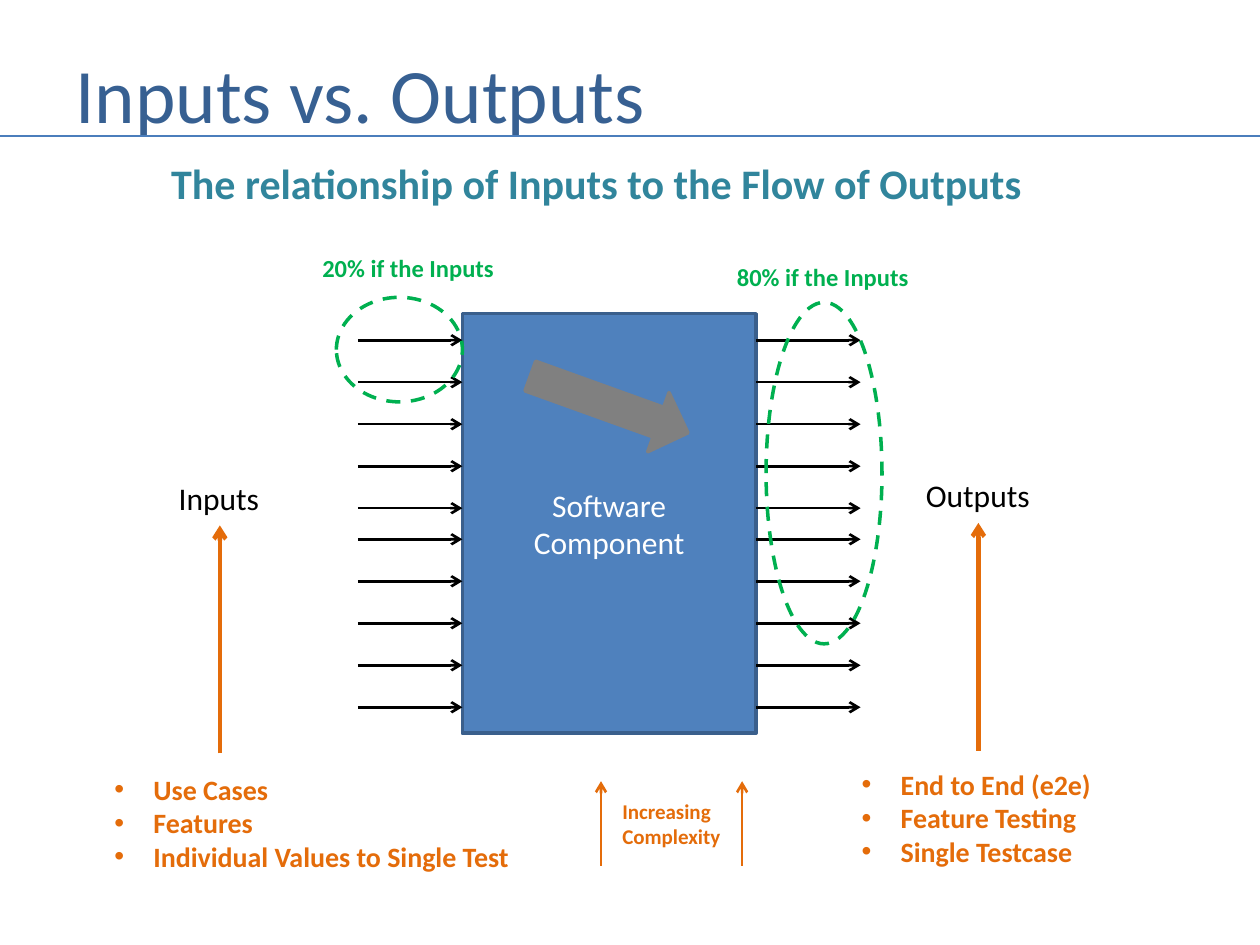
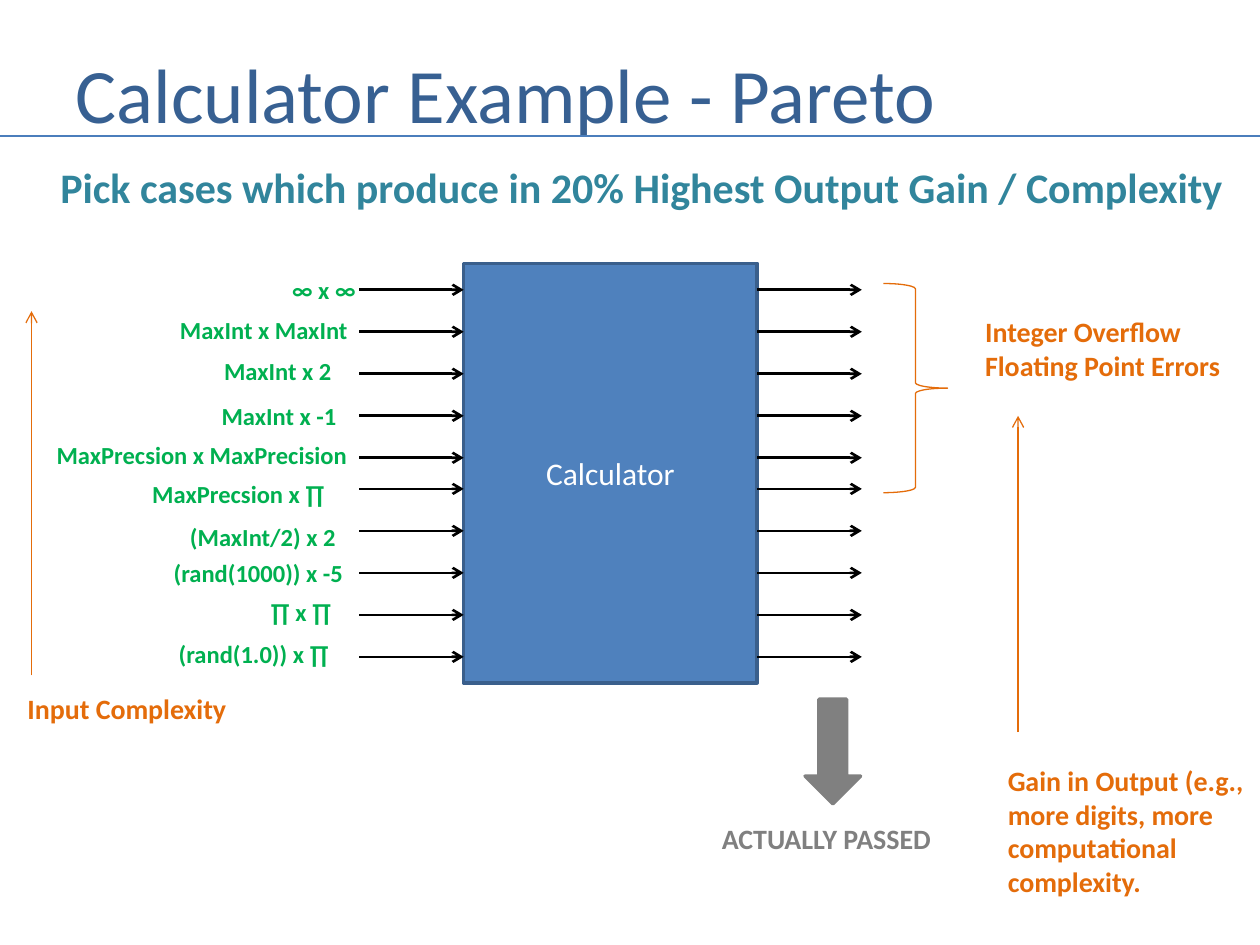
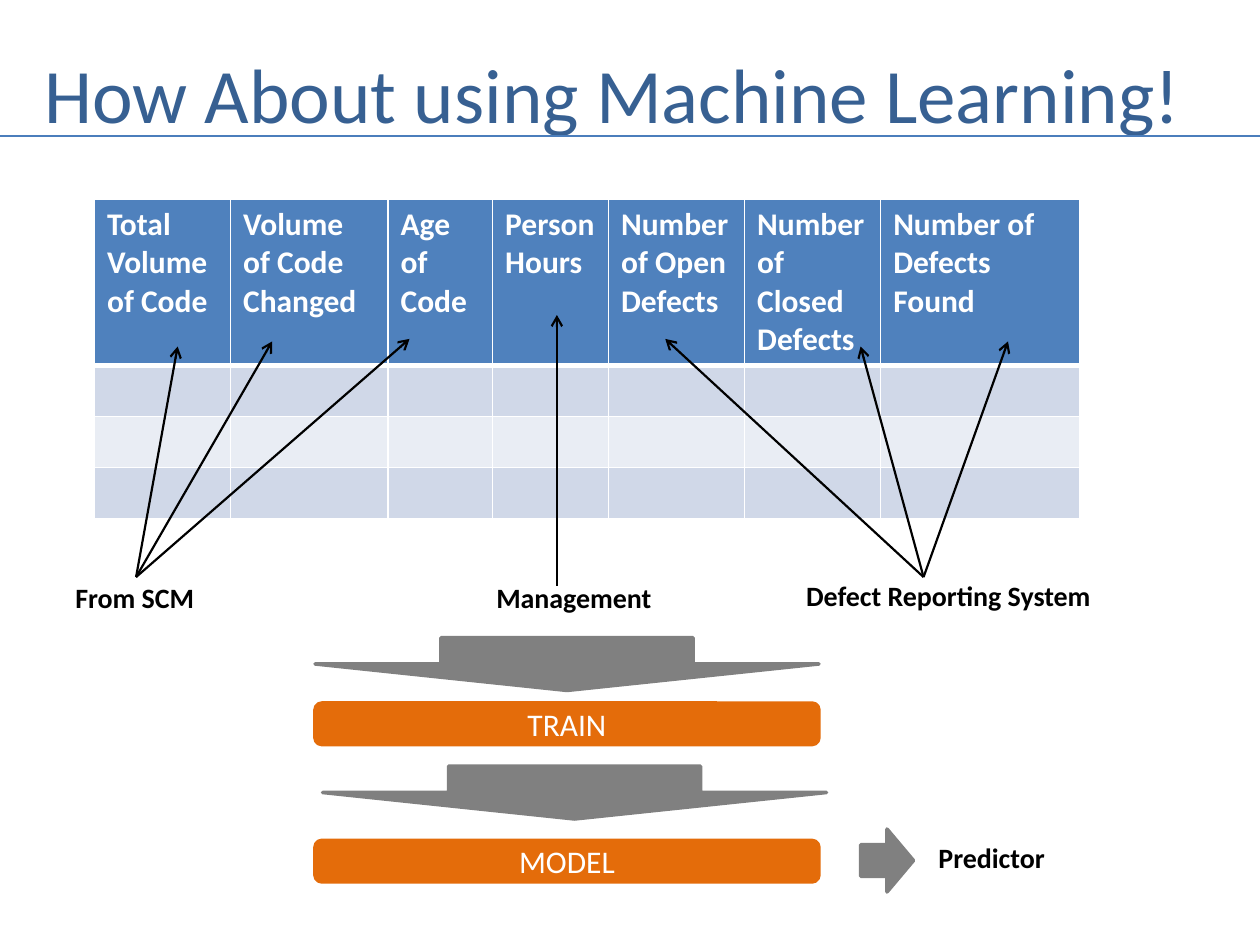
from lxml.etree import SubElement
from pptx import Presentation
from pptx.dml.color import RGBColor
from pptx.enum.dml import MSO_LINE
from pptx.enum.shapes import MSO_CONNECTOR, MSO_SHAPE
from pptx.enum.text import MSO_ANCHOR, MSO_AUTO_SIZE, PP_ALIGN
from pptx.oxml.ns import qn
from pptx.util import Inches, Pt

# Shared style
FONT = "Calibri"
BLACK, WHITE, GRAY = "000000", "FFFFFF", "808080"
BLUE, BLUE_EDGE, RULE_BLUE, TITLE_BLUE = "4F81BD", "3A5F8C", "4B7EBC", "376092"
TEAL, GREEN, ORANGE = "31859C", "00B050", "E46C0A"
BAND_DARK, BAND_LIGHT = "D0D8E8", "E9EDF4"


def color(hex_value):
    return RGBColor.from_string(hex_value)


# Basic parts
def add_bullet(para):
    properties = para._p.get_or_add_pPr()
    properties.set("marL", str(Inches(0.31)))
    properties.set("indent", str(-Inches(0.31)))
    SubElement(properties, qn("a:buFont"), typeface="Arial")
    SubElement(properties, qn("a:buChar"), char="•")


def write(frame, lines, size, hex_value, bold=False, align=PP_ALIGN.LEFT, bullets=False):
    for index, line in enumerate(lines):
        para = frame.add_paragraph() if index else frame.paragraphs[0]
        para.text = line
        if bullets:
            add_bullet(para)
        para.alignment = align
        para.font.name = FONT
        para.font.size = Pt(size)
        para.font.bold = bold
        para.font.color.rgb = color(hex_value)


def add_label(page, box, lines, size, hex_value, bold=True, bullets=False):
    frame = page.shapes.add_textbox(*map(Inches, box)).text_frame
    frame.word_wrap = False
    frame.auto_size = MSO_AUTO_SIZE.SHAPE_TO_FIT_TEXT
    write(frame, lines, size, hex_value, bold, bullets=bullets)


def add_figure(page, kind, box, fill, edge, width=2, label=None, rotation=0):
    figure = page.shapes.add_shape(kind, *map(Inches, box))
    figure.shadow.inherit = False
    figure.rotation = rotation
    if fill:
        figure.fill.solid()
        figure.fill.fore_color.rgb = color(fill)
    else:
        figure.fill.background()
    figure.line.color.rgb = color(edge)
    figure.line.width = Pt(width)
    if label:
        figure.text_frame.vertical_anchor = MSO_ANCHOR.MIDDLE
        write(figure.text_frame, [label], 18, WHITE, align=PP_ALIGN.CENTER)
    return figure


def add_line(page, start, end, hex_value, width, arrow=True):
    line = page.shapes.add_connector(MSO_CONNECTOR.STRAIGHT, *map(Inches, start + end))
    line.line.color.rgb = color(hex_value)
    line.line.width = Pt(width)
    properties = line.element.spPr
    if arrow:
        SubElement(properties.find(qn("a:ln")), qn("a:tailEnd"), type="arrow")
    SubElement(properties, qn("a:effectLst"))


def add_page(deck, title, left=0.5):
    page = deck.slides.add_slide(deck.slide_layouts[5])
    heading = page.shapes.title
    heading.left, heading.top = Inches(left), Inches(0.3)
    heading.width, heading.height = Inches(9.58 - left), Inches(0.87)
    frame = heading.text_frame
    frame.auto_size = MSO_AUTO_SIZE.NONE
    frame.vertical_anchor = MSO_ANCHOR.MIDDLE
    write(frame, [title], 44, TITLE_BLUE)
    add_line(page, (0, 1.08), (10, 1.08), RULE_BLUE, 1.5, arrow=False)
    return page


# Component block with two groups of five arrows on either side
def add_component(page, box, label):
    left, top, width, height = box
    add_figure(page, MSO_SHAPE.RECTANGLE, box, BLUE, BLUE_EDGE, label=label)
    for side in (left - 0.83, left + width):
        for group_top in (top + 0.21, top + 1.79):
            for step in range(5):
                y = group_top + step / 3
                add_line(page, (side, y), (side + 0.83, y), BLACK, 1.5)


# Inputs or outputs: caption, arrow beneath it and list at the foot
def add_flow_side(page, caption_box, caption, list_box, items):
    add_label(page, caption_box, [caption], 18, BLACK, bold=False)
    center = caption_box[0] + caption_box[2] / 2
    arrow_top = caption_box[1] + 0.42
    add_line(page, (center, arrow_top + 1.81), (center, arrow_top), ORANGE, 2.5)
    add_label(page, list_box, items, 16, ORANGE, bullets=True)


def add_highlight(page, box, label_box, label):
    ring = add_figure(page, MSO_SHAPE.OVAL, box, None, GREEN)
    ring.line.dash_style = MSO_LINE.DASH
    add_label(page, label_box, [label], 14, GREEN)


def build_flow_page(deck):
    page = add_page(deck, "Inputs vs. Outputs")
    add_label(page, (1.26, 1.2, 7.02, 0.5),
              ["The relationship of Inputs to the Flow of Outputs"], 24, TEAL)
    add_component(page, (3.67, 2.49, 2.33, 3.33), "Software\nComponent")
    add_figure(page, MSO_SHAPE.RIGHT_ARROW, (4.17, 2.96, 1.33, 0.5), GRAY, GRAY, rotation=19.8)
    add_highlight(page, (2.67, 2.36, 1, 0.83), (2.46, 1.96, 1.57, 0.34), "20% if the Inputs")
    add_highlight(page, (6.08, 2.4, 0.92, 2.71), (5.75, 2.03, 1.57, 0.34), "80% if the Inputs")
    add_flow_side(page, (1.32, 3.75, 0.85, 0.4), "Inputs", (0.81, 6.08, 3.37, 0.91),
                  ["Use Cases", "Features", "Individual Values to Single Test"])
    add_flow_side(page, (7.25, 3.73, 1.03, 0.4), "Outputs", (6.74, 6.04, 2.05, 0.91),
                  ["End to End (e2e)", "Feature Testing", "Single Testcase"])
    # Complexity key
    add_label(page, (4.84, 6.29, 0.99, 0.5), ["Increasing", "Complexity"], 12, ORANGE)
    for x in (4.77, 5.89):
        add_line(page, (x, 6.87), (x, 6.2), ORANGE, 1.5)


# Calculator inputs: left, top, width, text
CALCULATOR_INPUTS = [
    (2.22, 2.13, 0.71, "∞ x ∞"),
    (1.33, 2.45, 1.6, "MaxInt x MaxInt"),
    (1.68, 2.78, 1.06, "MaxInt x 2"),
    (1.66, 3.13, 1.12, "MaxInt x -1"),
    (0.35, 3.44, 2.52, "MaxPrecsion x MaxPrecision"),
    (1.11, 3.75, 1.58, "MaxPrecsion x ∏"),
    (1.41, 4.09, 1.37, "(MaxInt/2) x 2"),
    (1.28, 4.38, 1.61, "(rand(1000)) x -5"),
    (2.05, 4.69, 0.69, "∏ x ∏"),
    (1.32, 5.02, 1.4, "(rand(1.0)) x ∏"),
]


def build_calculator_page(deck):
    page = add_page(deck, "Calculator Example - Pareto")
    add_label(page, (0.38, 1.23, 9.61, 0.5),
              ["Pick cases which produce in 20% Highest Output Gain / Complexity"], 24, TEAL)
    add_component(page, (3.68, 2.09, 2.33, 3.33), "Calculator")
    # Inputs
    for left, top, width, text in CALCULATOR_INPUTS:
        add_label(page, (left, top, width, 0.34), [text], 14, GREEN)
    add_line(page, (0.25, 5.36), (0.25, 2.47), ORANGE, 0.75)
    add_label(page, (0.12, 5.44, 1.8, 0.37), ["Input Complexity"], 16, ORANGE)
    # Outputs
    add_figure(page, MSO_SHAPE.LEFT_BRACE, (7.01, 2.25, 0.51, 1.66), None, ORANGE, 0.75,
               rotation=180)
    add_label(page, (7.72, 2.45, 2.09, 0.64),
              ["Integer Overflow", "Floating Point Errors"], 16, ORANGE)
    add_line(page, (8.08, 5.81), (8.08, 3.3), ORANGE, 0.75)
    add_label(page, (7.9, 6.01, 2.1, 1.18),
              ["Gain in Output (e.g.,", "more digits, more", "computational", "complexity."],
              16, ORANGE)
    add_figure(page, MSO_SHAPE.DOWN_ARROW, (6.39, 5.55, 0.44, 0.83), GRAY, GRAY)
    add_label(page, (5.63, 6.47, 1.89, 0.37), ["ACTUALLY PASSED"], 16, GRAY)


# Metrics table: column width and heading lines
METRICS = [
    (1.08, ["Total Volume of Code"]),
    (1.25, ["Volume of Code Changed"]),
    (0.83, ["Age of Code"]),
    (0.92, ["Person", "Hours"]),
    (1.08, ["Number", "of Open", "Defects"]),
    (1.08, ["Number of Closed", "Defects"]),
    (1.58, ["Number of Defects", "Found"]),
]


def style_cell(cell, fill, bottom_width):
    properties = cell._tc.get_or_add_tcPr()
    for side, width in (("L", 1), ("R", 1), ("T", 1), ("B", bottom_width)):
        border = SubElement(properties, qn(f"a:ln{side}"), w=str(Pt(width)))
        paint = SubElement(border, qn("a:solidFill"))
        SubElement(paint, qn("a:srgbClr"), val=WHITE)
    cell.fill.solid()
    cell.fill.fore_color.rgb = color(fill)


def add_metrics_table(page, box):
    fills = [BLUE, BAND_DARK, BAND_LIGHT, BAND_DARK]
    table = page.shapes.add_table(len(fills), len(METRICS), *map(Inches, box)).table
    for row_index, fill in enumerate(fills):
        header = row_index == 0
        table.rows[row_index].height = Inches(1.32 if header else 0.4)
        for column_index, (width, heading) in enumerate(METRICS):
            table.columns[column_index].width = Inches(width)
            cell = table.cell(row_index, column_index)
            style_cell(cell, fill, 3 if header else 1)
            if header:
                write(cell.text_frame, heading, 18, WHITE, bold=True)


# Data source: label box, text, arrow start, arrow tips
SOURCES = [
    ((0.5, 4.56, 1.16, 0.37), "From SCM", (1.08, 4.58),
     [(1.41, 2.75), (2.16, 2.71), (3.25, 2.69)]),
    ((3.84, 4.56, 1.45, 0.37), "Management", (4.42, 4.65), [(4.42, 2.5)]),
    ((6.3, 4.54, 2.49, 0.37), "Defect Reporting System", (7.33, 4.58),
     [(5.28, 2.69), (6.83, 2.75), (8, 2.71)]),
]


def add_stage(page, box, label, arrow_box):
    add_figure(page, MSO_SHAPE.RIGHT_ARROW, arrow_box, GRAY, GRAY, rotation=90)
    add_figure(page, MSO_SHAPE.ROUNDED_RECTANGLE, box, ORANGE, ORANGE, label=label)


def build_learning_page(deck):
    page = add_page(deck, "How About using Machine Learning!", left=0.25)
    add_metrics_table(page, (0.75, 1.58, 7.82, 2.52))
    for box, text, start, tips in SOURCES:
        add_label(page, box, [text], 16, BLACK)
        for tip in tips:
            add_line(page, start, tip, BLACK, 1.25)
    # Training stages
    add_stage(page, (2.5, 5.58, 4, 0.33), "TRAIN", (4.29, 3.27, 0.42, 4))
    add_stage(page, (2.5, 6.67, 4, 0.33), "MODEL", (4.35, 4.29, 0.42, 4))
    add_figure(page, MSO_SHAPE.RIGHT_ARROW, (6.83, 6.58, 0.42, 0.5), GRAY, GRAY)
    add_label(page, (7.35, 6.62, 1.06, 0.37), ["Predictor"], 16, BLACK)


def main():
    deck = Presentation()
    deck.slide_width, deck.slide_height = Inches(10), Inches(7.5)
    build_flow_page(deck)
    build_calculator_page(deck)
    build_learning_page(deck)
    deck.save("out.pptx")


if __name__ == "__main__":
    main()
